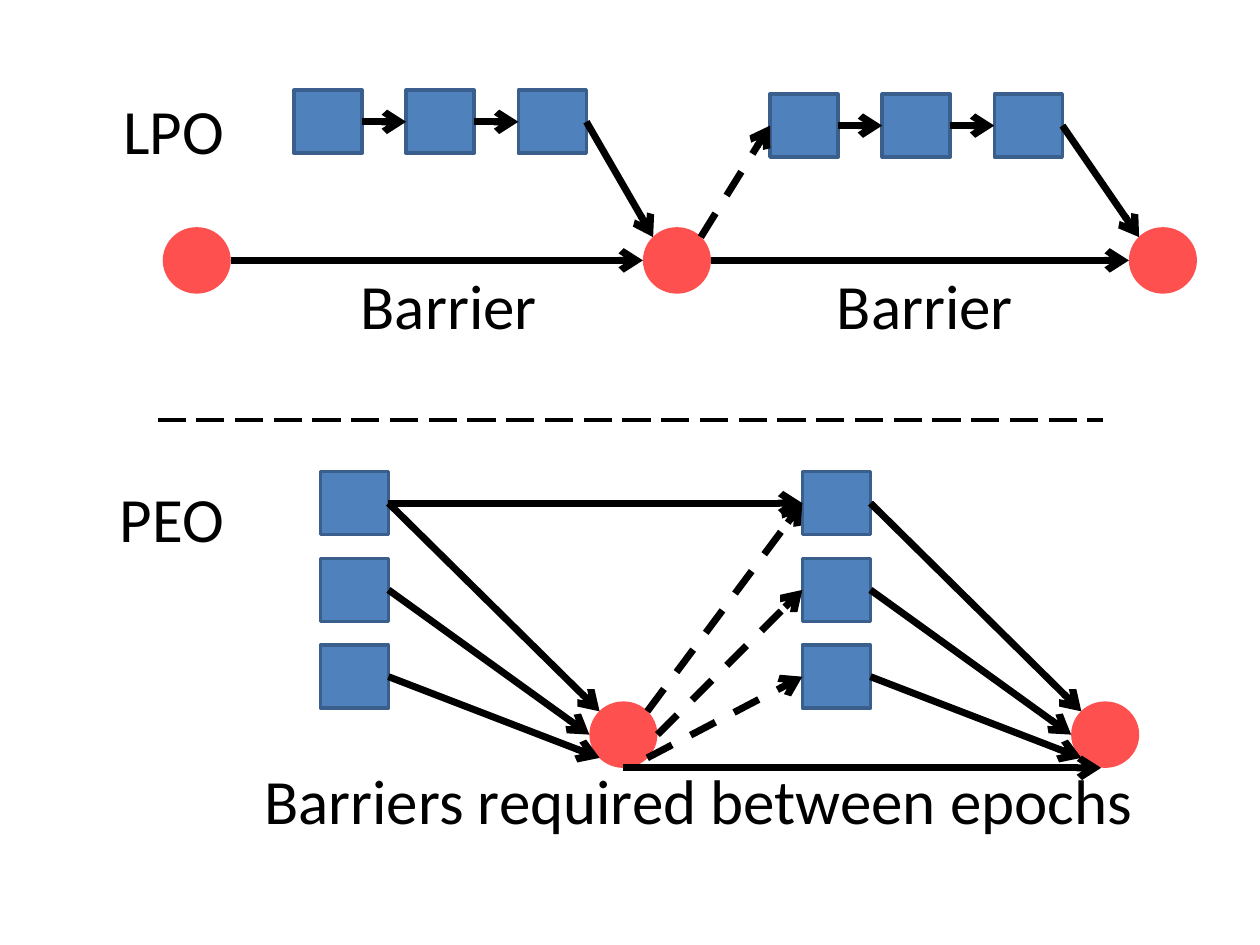
"""Build a slide comparing LPO and PEO barrier ordering."""
from lxml import etree
from pptx import Presentation
from pptx.dml.color import RGBColor
from pptx.enum import dml, shapes, text
from pptx.oxml.ns import qn
from pptx.util import Pt

BLACK = RGBColor(0, 0, 0)
BLUE = RGBColor(0x4F, 0x81, 0xBD)
NAVY = RGBColor(0x3A, 0x5F, 0x8C)
RED = RGBColor(0xFF, 0x50, 0x50)
FONT = "Calibri"
SQUARE = (38.9, 36)
CIRCLE = (38.9, 38)

ROWS = {"lpo_first": (168, 51.6, 64.1, 0), "lpo_second": (440, 53.8, 64.1, 0),
        "peo_first": (183.1, 269.5, 0, 49.6), "peo_second": (458.5, 269.5, 0, 49.6)}
BARRIERS = {"lpo_start": (93, 129.8), "lpo_middle": (367.4, 129.8),
            "lpo_end": (645.1, 129.8),
            "peo_middle": (336.8, 400.8), "peo_end": (612.1, 400.8)}
LABELS = [("LPO", 21.4, 49, 113.6, text.PP_ALIGN.RIGHT),
          ("PEO", 21.4, 270.2, 113.6, text.PP_ALIGN.RIGHT),
          ("Barrier", 188, 149, 137, text.PP_ALIGN.CENTER),
          ("Barrier", 460, 149, 137, text.PP_ALIGN.CENTER),
          ("Barriers required between epochs", 135.2, 431.4, 528, text.PP_ALIGN.CENTER)]
ANCHORS = {"left": (0, 0.5), "right": (1, 0.5), "bottom": (0.5, 1),
           "near bottom": (0.44, 1),
           "upper left": (0.15, 0.15), "upper right": (0.85, 0.15),
           "lower left": (0.15, 0.85), "lower right": (0.85, 0.85)}
ENTRY_SIDES = ("upper left", "left", "lower left")
EXIT_SIDES = ("upper right", "right", "lower right")

SOLID_ARROWS = [
    ("lpo_start", "right", "lpo_middle", "left"),
    ("lpo_middle", "right", "lpo_end", "left"),
    ("lpo_first 2", "right", "lpo_middle", "upper left"),
    ("lpo_second 2", "right", "lpo_end", "upper left"),
    ("peo_first 0", "right", "peo_second 0", "left"),
    ("peo_middle", "bottom", "peo_end", "near bottom"),
]
SOLID_ARROWS += [(f"{row} {i}", "right", f"{row} {i + 1}", "left")
                 for row in ("lpo_first", "lpo_second") for i in range(2)]
SOLID_ARROWS += [(f"{row} {i}", "right", barrier, side)
                 for row, barrier in (("peo_first", "peo_middle"), ("peo_second", "peo_end"))
                 for i, side in enumerate(ENTRY_SIDES)]
DASHED_ARROWS = [("lpo_middle", "upper right", "lpo_second 0", "left")]
DASHED_ARROWS += [("peo_middle", side, f"peo_second {i}", "left")
                  for i, side in enumerate(EXIT_SIDES)]

presentation = Presentation()
presentation.slide_width, presentation.slide_height = Pt(720), Pt(540)
slide = presentation.slides.add_slide(presentation.slide_layouts[6])
nodes = {}


def add_node(name, kind, left, top, size, fill, outline=None):
    shape = slide.shapes.add_shape(kind, Pt(left), Pt(top), Pt(size[0]), Pt(size[1]))
    shape.shadow.inherit = False
    shape.fill.solid()
    shape.fill.fore_color.rgb = fill
    if outline is None:
        shape.line.fill.background()
    else:
        shape.line.color.rgb = outline
        shape.line.width = Pt(2)
    nodes[name] = (left, top, *size)


def anchor_point(name, side):
    left, top, width, height = nodes[name]
    across, down = ANCHORS[side]
    return left + across * width, top + down * height


def add_line(start, end, weight=4, dash=None, arrow=True):
    connector = slide.shapes.add_connector(
        shapes.MSO_CONNECTOR.STRAIGHT, *(Pt(value) for value in (*start, *end)))
    connector.line.color.rgb = BLACK
    connector.line.width = Pt(weight)
    if dash is not None:
        connector.line.dash_style = dash
    properties = connector._element.spPr
    if arrow:
        etree.SubElement(properties.find(qn("a:ln")), qn("a:tailEnd"), type="arrow")
    etree.SubElement(properties, qn("a:effectLst"))


def add_text(content, left, top, width, align, size=36, color=BLACK):
    box = slide.shapes.add_textbox(Pt(left), Pt(top), Pt(width), Pt(51))
    frame = box.text_frame
    frame.word_wrap = True
    frame.auto_size = text.MSO_AUTO_SIZE.SHAPE_TO_FIT_TEXT
    paragraph = frame.paragraphs[0]
    paragraph.alignment = align
    run = paragraph.add_run()
    run.text = content
    run.font.name, run.font.size = FONT, Pt(size)
    run.font.color.rgb = color


add_line((90, 240), (630, 240), weight=2, dash=dml.MSO_LINE.LONG_DASH, arrow=False)
for row, (left, top, step_x, step_y) in ROWS.items():
    for i in range(3):
        add_node(f"{row} {i}", shapes.MSO_SHAPE.RECTANGLE,
                 left + i * step_x, top + i * step_y, SQUARE, BLUE, NAVY)
for name, (left, top) in BARRIERS.items():
    add_node(name, shapes.MSO_SHAPE.OVAL, left, top, CIRCLE, RED)
for arrows, dash in ((SOLID_ARROWS, None), (DASHED_ARROWS, dml.MSO_LINE.DASH)):
    for source, exit_side, target, entry_side in arrows:
        add_line(anchor_point(source, exit_side), anchor_point(target, entry_side), dash=dash)
for label in LABELS:
    add_text(*label)

presentation.save("out.pptx")
